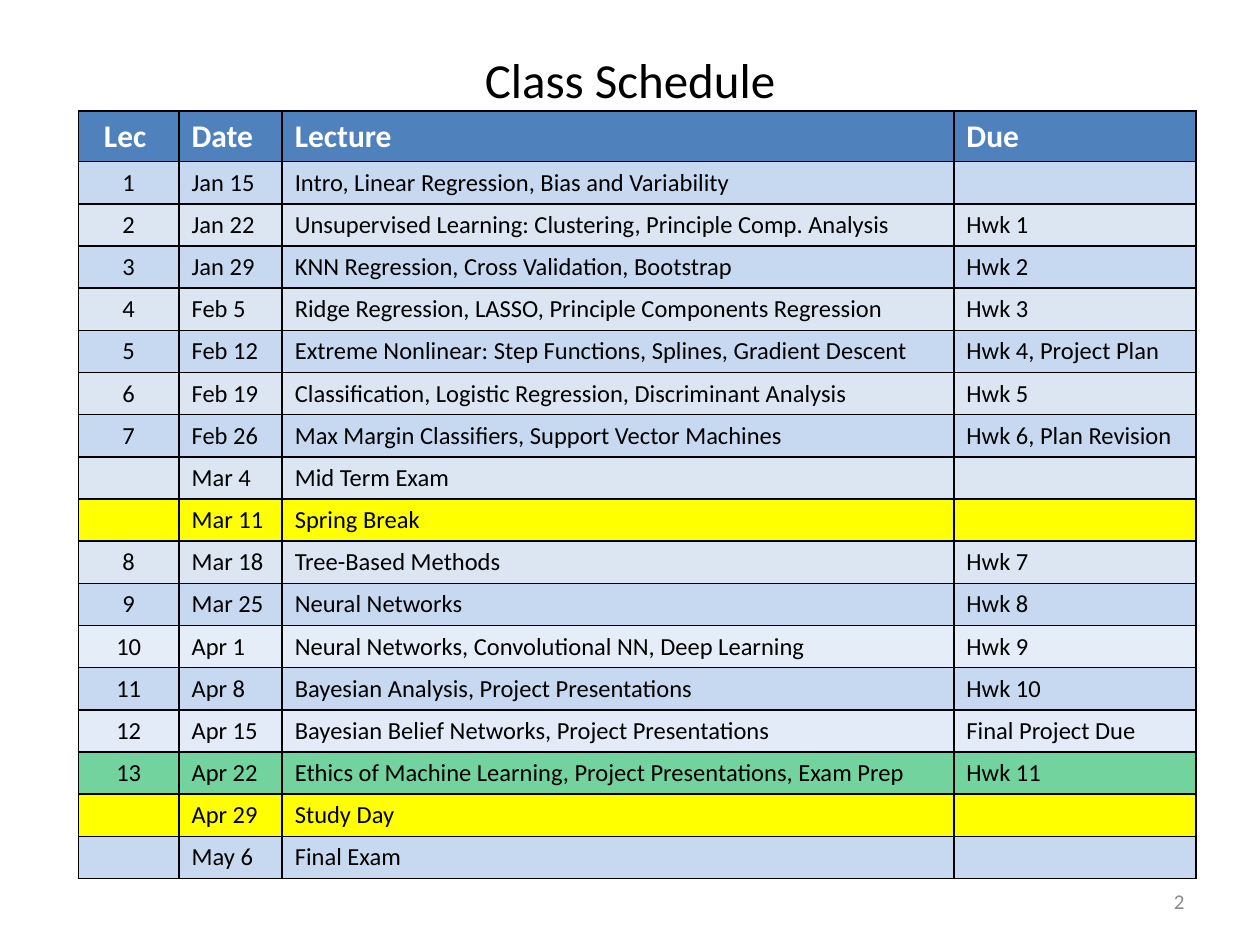
from dataclasses import dataclass
from typing import Optional

from lxml import etree
from pptx import Presentation
from pptx.dml.color import RGBColor
from pptx.enum import text as t
from pptx.oxml.ns import qn
from pptx.util import Cm, Pt

FONT = "Calibri"
BLACK = RGBColor(0x00, 0x00, 0x00)
WHITE = RGBColor(0xFF, 0xFF, 0xFF)
GREY = RGBColor(0x89, 0x89, 0x89)
HEADER_BLUE = RGBColor(0x4F, 0x81, 0xBD)
MID_BLUE = RGBColor(0x8E, 0xB4, 0xE3)
BAND_DARK = RGBColor(0xC6, 0xD9, 0xF1)
BAND_LIGHT = RGBColor(0xDC, 0xE6, 0xF2)
YELLOW = RGBColor(0xFF, 0xFF, 0x00)
GREEN = RGBColor(0x00, 0xB0, 0x50)


@dataclass
class Week:
    lec: str
    date: str
    lecture: str
    due: str = ""
    fill: Optional[RGBColor] = None  # None takes the band colour
    opacity: int = 100


HEADER = Week("Lec ", "Date", "Lecture", "Due", HEADER_BLUE)
WEEKS = [
    Week("1", "Jan 15", "Intro, Linear Regression, Bias and Variability"),
    Week("2", "Jan 22", "Unsupervised Learning: Clustering, Principle Comp. Analysis", "Hwk 1"),
    Week("3", "Jan 29", "KNN Regression, Cross Validation, Bootstrap", "Hwk 2"),
    Week("4", "Feb 5", "Ridge Regression, LASSO, Principle Components Regression", "Hwk 3"),
    Week("5", "Feb 12", "Extreme Nonlinear: Step Functions, Splines, Gradient Descent",
         "Hwk 4, Project Plan"),
    Week("6", "Feb 19", "Classification, Logistic Regression, Discriminant Analysis", "Hwk 5"),
    Week("7", "Feb 26", "Max Margin Classifiers, Support Vector Machines",
         "Hwk 6, Plan Revision"),
    Week("", "Mar 4", "Mid Term Exam"),
    Week("", "Mar 11", "Spring Break", fill=YELLOW),
    Week("8", "Mar 18", "Tree-Based Methods", "Hwk 7"),
    Week("9", "Mar 25", "Neural Networks", "Hwk 8"),
    Week("10", "Apr 1", "Neural Networks, Convolutional NN, Deep Learning", "Hwk 9",
         BAND_DARK, 46),
    Week("11", "Apr 8", "Bayesian Analysis, Project Presentations", "Hwk 10", MID_BLUE, 50),
    Week("12", "Apr 15", "Bayesian Belief Networks, Project Presentations",
         "Final Project Due", BAND_DARK, 50),
    Week("13", "Apr 22", "Ethics of Machine Learning, Project Presentations, Exam Prep",
         "Hwk 11", GREEN, 55),
    Week("", "Apr 29", "Study Day", fill=YELLOW),
    Week("", "May 6", "Final Exam"),
]
COLUMN_WIDTHS = [2.03, 2.08, 13.54, 4.88]
HEADER_HEIGHT, WEEK_HEIGHT = 1.02, 0.85


def write(frame, words: str, size: int, color: RGBColor, align, bold: bool = False) -> None:
    frame.text = words
    paragraph = frame.paragraphs[0]
    paragraph.alignment = align
    for run in paragraph.runs:
        run.font.name, run.font.size, run.font.bold = FONT, Pt(size), bold
        run.font.color.rgb = color
    if not words:  # keeps an empty cell from stretching its row
        etree.SubElement(paragraph._p, qn("a:endParaRPr"), sz=str(size * 100))


def add_borders(cell) -> None:
    properties = cell._tc.get_or_add_tcPr()
    for side in ("a:lnL", "a:lnR", "a:lnT", "a:lnB"):
        line = etree.SubElement(properties, qn(side), w=str(Pt(1)))
        solid = etree.SubElement(line, qn("a:solidFill"))
        etree.SubElement(solid, qn("a:srgbClr"), val=str(BLACK))


def fill_cell(cell, color: RGBColor, opacity: int) -> None:
    cell.fill.solid()
    cell.fill.fore_color.rgb = color
    if opacity < 100:
        swatch = cell._tc.tcPr.find(qn("a:solidFill"))[0]
        etree.SubElement(swatch, qn("a:alpha"), val=str(opacity * 1000))


def draw_row(table, index: int, week: Week) -> None:
    is_header = index == 0
    table.rows[index].height = Cm(HEADER_HEIGHT if is_header else WEEK_HEIGHT)
    band = BAND_DARK if index % 2 else BAND_LIGHT
    size, color = (18, WHITE) if is_header else (14, BLACK)
    for column, words in enumerate((week.lec, week.date, week.lecture, week.due)):
        cell = table.cell(index, column)
        align = t.PP_ALIGN.LEFT if column else t.PP_ALIGN.CENTER
        write(cell.text_frame, words, size, color, align, is_header)
        add_borders(cell)
        fill_cell(cell, week.fill or band, week.opacity)


deck = Presentation()
deck.slide_width, deck.slide_height = Cm(25.4), Cm(19.05)
slide = deck.slides.add_slide(deck.slide_layouts[5])

# Title
title = slide.shapes.title
title.left, title.top, title.width, title.height = Cm(1.27), Cm(0), Cm(22.86), Cm(3.18)
title.text_frame.vertical_anchor = t.MSO_ANCHOR.MIDDLE
write(title.text_frame, "Class Schedule", 28, BLACK, t.PP_ALIGN.CENTER)

# Page number
page_number = slide.shapes.add_textbox(Cm(18.2), Cm(17.66), Cm(5.93), Cm(1.01)).text_frame
page_number.word_wrap = True
page_number.vertical_anchor = t.MSO_ANCHOR.MIDDLE
write(page_number, "2", 12, GREY, t.PP_ALIGN.RIGHT)

# Schedule
rows = [HEADER, *WEEKS]
schedule = slide.shapes.add_table(
    len(rows), len(COLUMN_WIDTHS), Cm(1.58), Cm(2.24),
    Cm(sum(COLUMN_WIDTHS)), Cm(HEADER_HEIGHT + WEEK_HEIGHT * len(WEEKS))).table
for column, width in zip(schedule.columns, COLUMN_WIDTHS):
    column.width = Cm(width)
for index, week in enumerate(rows):
    draw_row(schedule, index, week)

deck.save("out.pptx")
